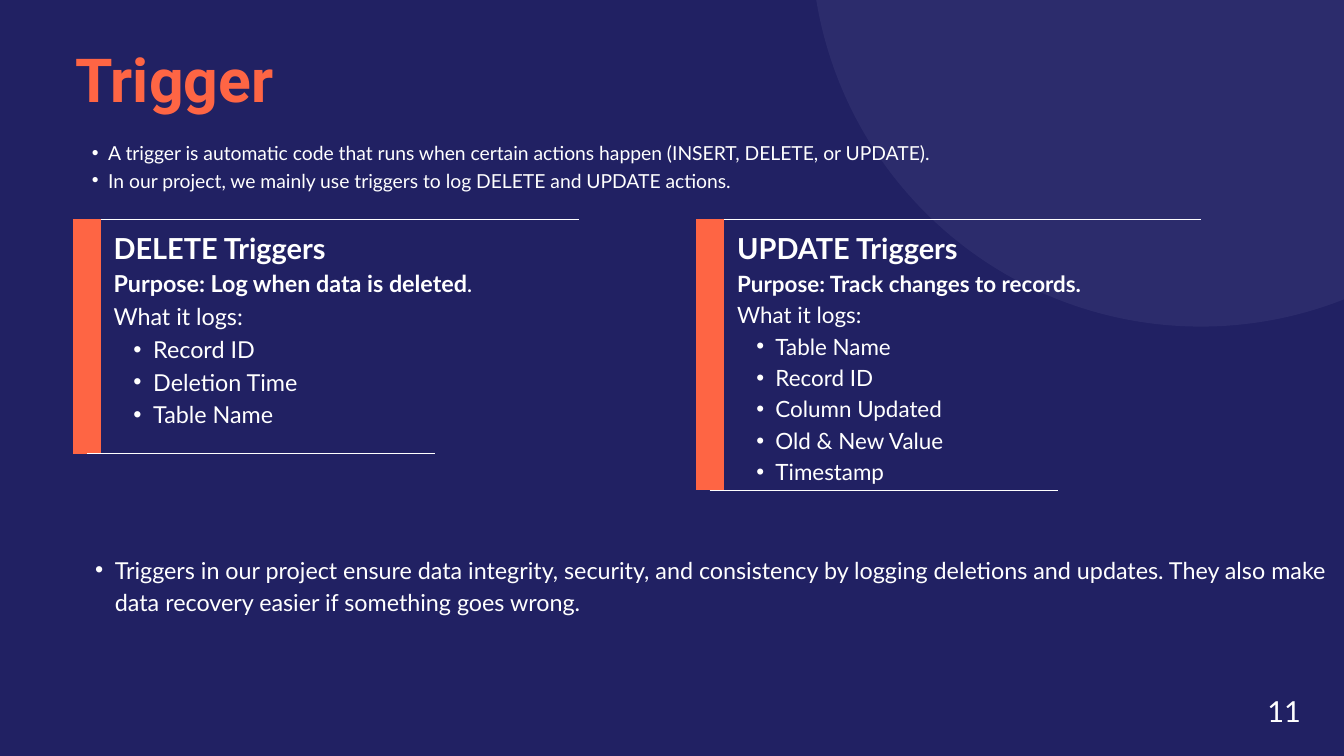
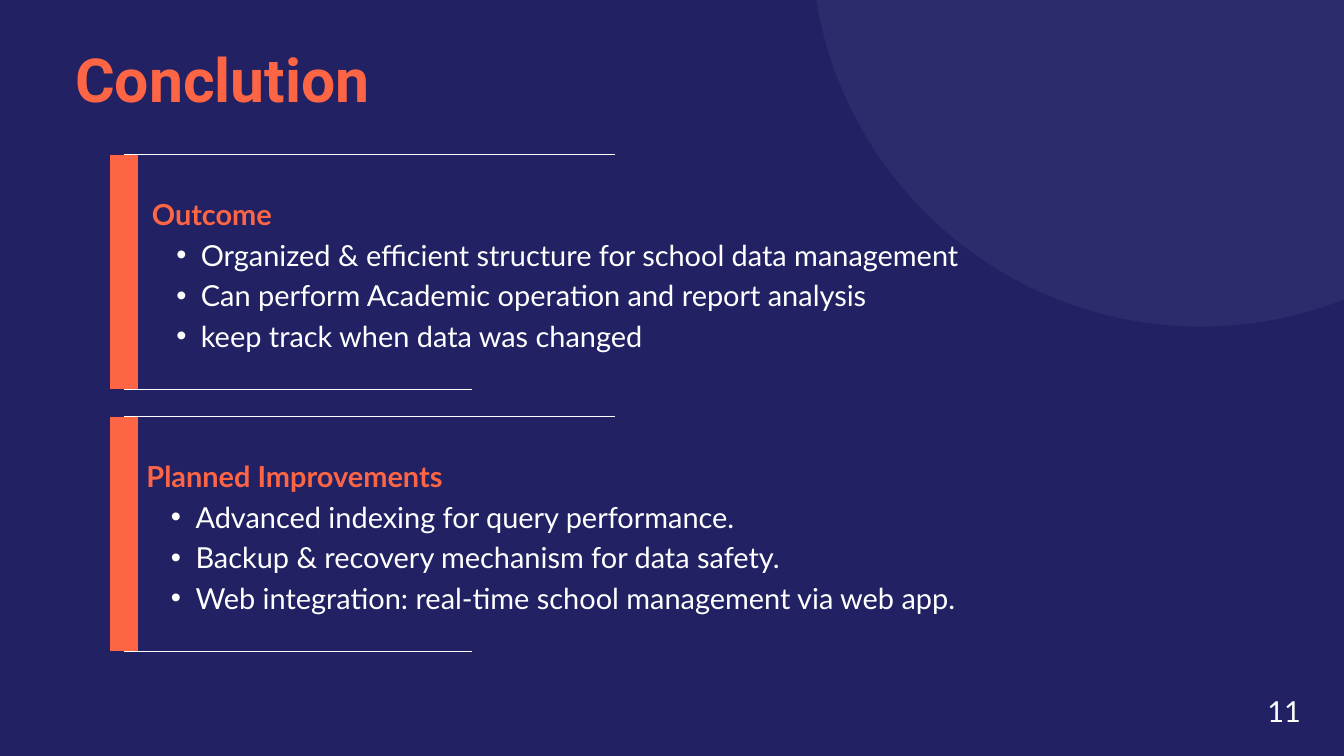
from lxml.etree import SubElement
from pptx import Presentation
from pptx.dml.color import RGBColor
from pptx.enum.shapes import MSO_CONNECTOR, MSO_SHAPE
from pptx.enum.text import MSO_AUTO_SIZE, PP_ALIGN
from pptx.oxml.ns import qn
from pptx.util import Pt

PX = 9144
NAVY = RGBColor(0x21, 0x21, 0x63)
HAZE = RGBColor(0x2C, 0x2C, 0x6C)
CORAL = RGBColor(0xFE, 0x65, 0x44)
WHITE = RGBColor(0xFF, 0xFF, 0xFF)


def write(paragraph, text, size=31, font="Lato", color=WHITE, bold=False,
          bullet=False, align=None, tail=""):
    """Fill a paragraph with text, and with an optional tail that is not bold."""
    paragraph.line_spacing = Pt(round(size * 1.4, 1))
    paragraph.alignment = align
    if bullet:
        paragraph.level = 1
        indent = round(size * 2.36)
        properties = paragraph._p.get_or_add_pPr()
        properties.set("marL", str(indent * PX))
        properties.set("indent", str(-indent * PX // 2))
        SubElement(properties, qn("a:buFont"), typeface="Arial")
        SubElement(properties, qn("a:buChar"), char="•")
    for part, weight in ((text, bold), (tail, False)):
        if part:
            run = paragraph.add_run()
            run.text = part
            run.font.size = Pt(size)
            run.font.name = font
            run.font.bold = weight
            run.font.color.rgb = color


def bullets(*texts, size=31):
    """Return one bulleted line for each text."""
    return [(text, dict(size=size, bullet=True)) for text in texts]


class Deck:
    """Holds the shared style and the current slide."""

    def __init__(self):
        self.presentation = Presentation()
        self.presentation.slide_width = 2000 * PX
        self.presentation.slide_height = 1125 * PX
        self.slide = None

    def start(self, title):
        """Add a slide with its background, circle, title and number."""
        self.slide = self.presentation.slides.add_slide(self.presentation.slide_layouts[6])
        background = self.slide.background.fill
        background.solid()
        background.fore_color.rgb = NAVY
        self.circle(1207, -674, 1160)
        self.text(112, 44, 957, 123, [
            (title, dict(size=65, font="Roboto", color=CORAL, bold=True))])
        self.text(1886, 1023, 50, 57, [("11", dict(align=PP_ALIGN.CENTER))])

    def circle(self, left, top, diameter):
        """Draw a plain filled circle."""
        disc = self.slide.shapes.add_shape(
            MSO_SHAPE.OVAL, left * PX, top * PX, diameter * PX, diameter * PX)
        disc.shadow.inherit = False
        disc.fill.solid()
        disc.fill.fore_color.rgb = HAZE
        disc.line.fill.background()

    def text(self, left, top, width, height, lines):
        """Place a text box without margins, one paragraph per line."""
        box = self.slide.shapes.add_textbox(left * PX, top * PX, width * PX, height * PX)
        frame = box.text_frame
        frame.word_wrap = True
        frame.auto_size = MSO_AUTO_SIZE.SHAPE_TO_FIT_TEXT
        frame.margin_left = frame.margin_right = 0
        frame.margin_top = frame.margin_bottom = 0
        for number, (text, style) in enumerate(lines):
            paragraph = frame.add_paragraph() if number else frame.paragraphs[0]
            write(paragraph, text, **style)

    def line(self, left, top, right, bottom, color=WHITE, weight=0.75):
        """Draw a straight line."""
        rule = self.slide.shapes.add_connector(
            MSO_CONNECTOR.STRAIGHT, left * PX, top * PX, right * PX, bottom * PX)
        rule.line.color.rgb = color
        rule.line.width = Pt(weight)
        SubElement(rule._element.spPr, qn("a:effectLst"))

    def bracket(self, left, top, height=349):
        """Draw a thick side bar with a long top and a short bottom rule."""
        bottom = top + height
        self.line(left, top, left + 731, top)
        self.line(left, top, left, bottom, CORAL, 30)
        self.line(left, bottom, left + 518, bottom)


def trigger_slide(deck):
    """Build the slide on triggers."""
    deck.start("Trigger")
    deck.text(112, 205, 1292, 78, bullets(
        "A trigger is automatic code that runs when certain actions happen "
        "(INSERT, DELETE, or UPDATE).",
        "In our project, we mainly use triggers to log DELETE and UPDATE actions.",
        size=20.7))

    deck.bracket(130, 326)
    deck.text(169, 334, 571, 299, [
        ("DELETE Triggers", dict(bold=True)),
        ("Purpose: Log when data is deleted", dict(size=25, bold=True, tail=".")),
        ("What it logs:", dict(size=25)),
        *bullets("Record ID", "Deletion Time", "Table Name", size=25)])

    deck.bracket(1056, 326, 403)
    deck.text(1097, 335, 554, 381, [
        ("UPDATE Triggers", dict(bold=True)),
        ("Purpose: Track changes to records.", dict(size=24, bold=True)),
        ("What it logs:", dict(size=24)),
        *bullets("Table Name", "Record ID", "Column Updated", "Old & New Value",
                 "Timestamp", size=24)])

    deck.text(112, 820, 1888, 96, bullets(
        "Triggers in our project ensure data integrity, security, and consistency by "
        "logging deletions and updates. They also make data recovery easier if "
        "something goes wrong.", size=25))


def conclusion_slide(deck):
    """Build the slide with the outcome and the planned improvements."""
    deck.start("Conclution")
    sections = [
        (226, 230, "Outcome", [
            "Organized & efficient structure for school data management",
            "Can perform Academic operation and report analysis",
            "keep track when data was changed"]),
        (218, 620, "Planned Improvements", [
            "Advanced indexing for query performance.",
            "Backup & recovery mechanism for data safety.",
            "Web integration: real-time school management via web app."]),
    ]
    for left, top, heading, points in sections:
        deck.text(left, top + 54, 1444 - left, 235, [
            (heading, dict(color=CORAL, bold=True)), *bullets(*points)])
        deck.bracket(184, top)


def main():
    """Build and save the presentation."""
    deck = Deck()
    trigger_slide(deck)
    conclusion_slide(deck)
    deck.presentation.save("out.pptx")


if __name__ == "__main__":
    main()
